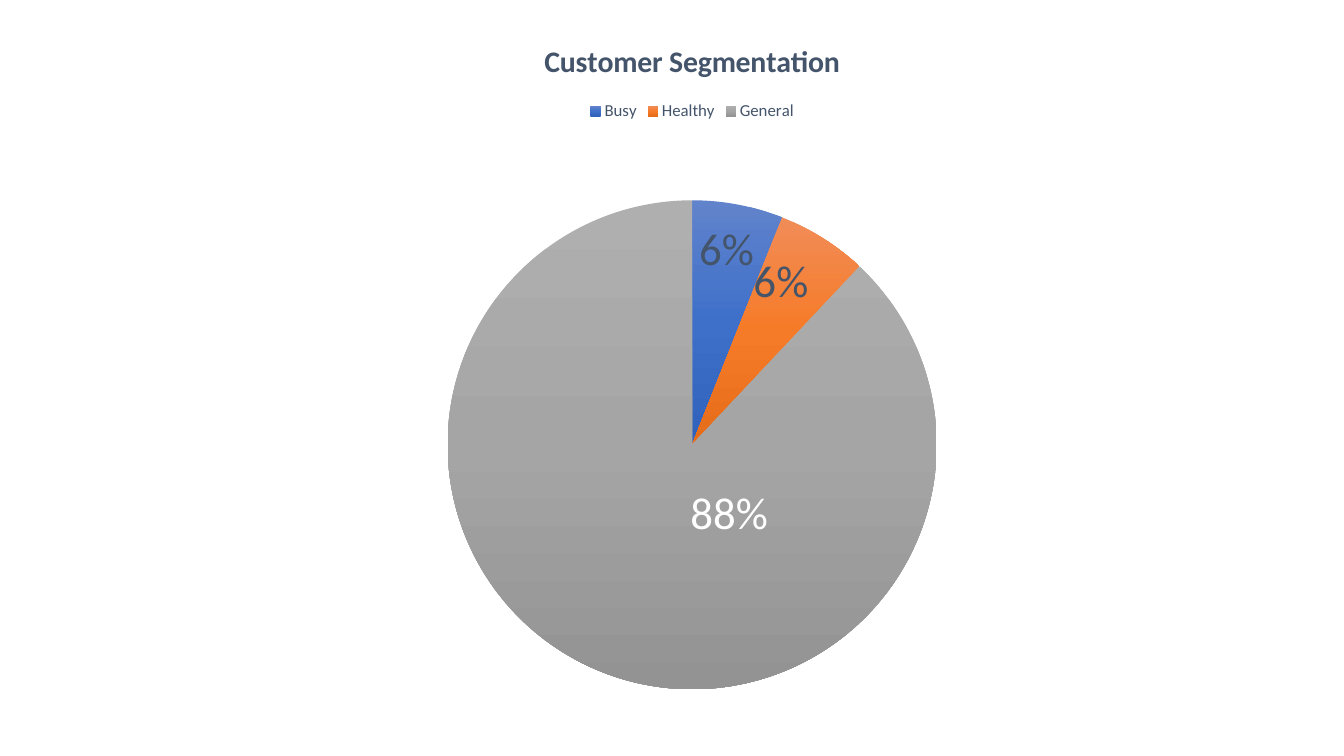
import copy
import dataclasses

import pptx
import pptx.chart.data
import pptx.dml.color
import pptx.enum.chart
import pptx.oxml
import pptx.oxml.ns
import pptx.util


@dataclasses.dataclass(frozen=True)
class Theme:
    """Fonts, type sizes and colours of the slide."""
    font: str = "Calibri"
    title_size: float = 21.3
    legend_size: float = 12
    label_size: float = 32
    text: str = "44546A"
    light_text: str = "FFFFFF"
    busy: tuple = ("6183CB", "3E70CA", "3062BB")
    healthy: tuple = ("F18C57", "F67B28", "E56C19")
    general: tuple = ("AFAFAF", "A5A5A5", "939393")


@dataclasses.dataclass(frozen=True)
class Segment:
    """A customer segment with its share, gradient and label style."""
    name: str
    share: float
    gradient: tuple
    label_color: str
    label_shift: tuple


class SegmentationSlide:
    """Draws styled elements on the current slide."""

    def __init__(self, slide, theme):
        """Keep the slide and its style."""
        self.slide = slide
        self.theme = theme

    def style(self, font, size, color, bold=False):
        """Apply the theme font with a size and colour."""
        font.name = self.theme.font
        font.size = pptx.util.Pt(size)
        font.bold = bold
        font.color.rgb = pptx.dml.color.RGBColor.from_string(color)

    def layout(self, **settings):
        """Build a manual chart layout element."""
        values = "".join(f'<c:{key} val="{value}"/>' for key, value in settings.items())
        return pptx.oxml.parse_xml(
            f'<c:layout {pptx.oxml.ns.nsdecls("c")}>'
            f"<c:manualLayout>{values}</c:manualLayout></c:layout>"
        )

    def gradient(self, series, point, colors):
        """Fill a slice from top to bottom with evenly spaced colours."""
        fill = point.format.fill
        fill.gradient()
        fill.gradient_angle = 270
        stop_list = series._element.xpath(".//a:gsLst")[-1]
        stop_list.append(copy.deepcopy(stop_list[-1]))
        for index, (stop, color) in enumerate(zip(fill.gradient_stops, colors)):
            stop.position = index / (len(colors) - 1)
            stop.color.rgb = pptx.dml.color.RGBColor.from_string(color)

    def pie(self, title, segments, left, top, width, height):
        """Add a titled pie chart of the segments."""
        theme = self.theme
        center = pptx.enum.chart.XL_LABEL_POSITION.CENTER
        shares = pptx.chart.data.CategoryChartData(number_format="0%")
        shares.categories = [segment.name for segment in segments]
        shares.add_series(title, [segment.share for segment in segments])
        chart = self.slide.shapes.add_chart(
            pptx.enum.chart.XL_CHART_TYPE.PIE, left, top, width, height, shares
        ).chart
        chart.font.name = theme.font
        chart.font.size = pptx.util.Pt(10)

        heading = chart.chart_title.text_frame
        heading.text = title
        self.style(heading.paragraphs[0].runs[0].font, theme.title_size, theme.text, True)
        chart.chart_title.include_in_layout = False

        chart.has_legend = True
        chart.legend.position = pptx.enum.chart.XL_LEGEND_POSITION.TOP
        chart.legend.include_in_layout = False
        self.style(chart.legend.font, theme.legend_size, theme.text)

        plot_area = chart._chartSpace.xpath(".//c:plotArea")[0]
        for automatic in plot_area.xpath("./c:layout"):
            plot_area.remove(automatic)
        plot_area.insert(0, self.layout(
            layoutTarget="inner", xMode="edge", yMode="edge",
            x=0.29, y=0.25, w=0.42, h=0.66,
        ))

        plot = chart.plots[0]
        plot.vary_by_categories = True
        series = plot.series[0]
        labels = series.data_labels
        labels.show_value = True
        labels.number_format = "0%"
        labels.number_format_is_linked = False
        labels.position = center
        self.style(labels.font, theme.label_size, theme.text)

        for index, segment in enumerate(segments):
            point = series.points[index]
            self.gradient(series, point, segment.gradient)
            label = point.data_label
            self.style(label.font, theme.label_size, segment.label_color)
            label.position = center
            shift_x, shift_y = segment.label_shift
            label_index = series._element.xpath(".//c:dLbl/c:idx")[index]
            label_index.addnext(self.layout(x=shift_x, y=shift_y))


def main():
    """Build and save the customer segmentation slide."""
    theme = Theme()
    deck = pptx.Presentation()
    deck.slide_width = pptx.util.Inches(13.33)
    deck.slide_height = pptx.util.Inches(7.5)
    slide = deck.slides.add_slide(deck.slide_layouts[6])
    segments = [
        Segment("Busy", 0.06, theme.busy, theme.text, (0.01, -0.1)),
        Segment("Healthy", 0.06, theme.healthy, theme.text, (0.02, -0.08)),
        Segment("General", 0.88, theme.general, theme.light_text, (0.07, -0.06)),
    ]
    SegmentationSlide(slide, theme).pie(
        "Customer Segmentation", segments,
        pptx.util.Inches(1.04), pptx.util.Inches(0.15),
        pptx.util.Inches(11.65), pptx.util.Inches(7.35),
    )
    deck.save("out.pptx")


if __name__ == "__main__":
    main()
